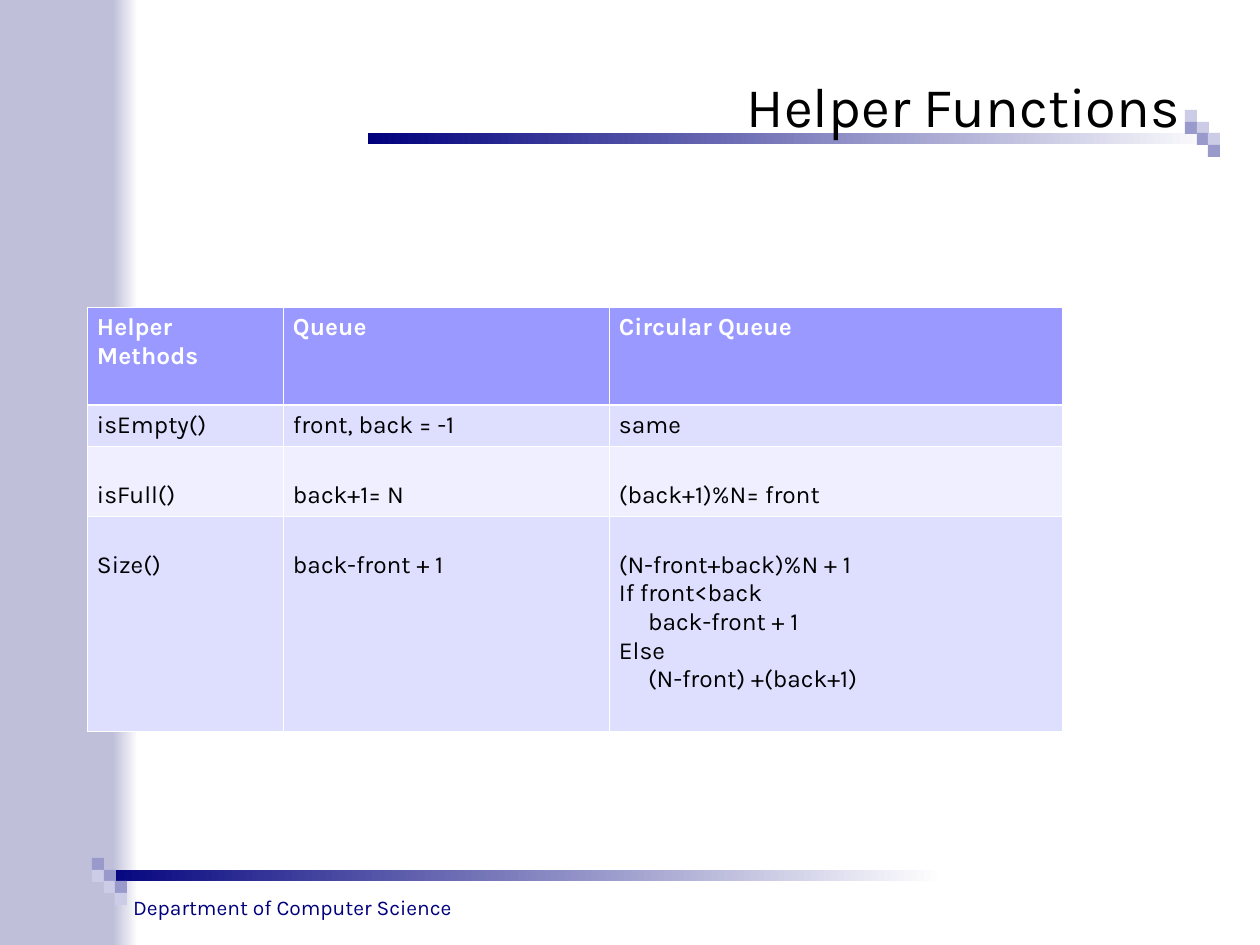
from pptx import Presentation
from pptx.dml.color import RGBColor
from pptx.enum.shapes import MSO_SHAPE
from pptx.enum.text import MSO_ANCHOR, MSO_AUTO_SIZE, PP_ALIGN
from pptx.oxml import parse_xml
from pptx.oxml.ns import nsdecls
from pptx.util import Emu, Pt

FONT = "Karla"
NAVY, LILAC, MIST, PANEL = "00007D", "9999CC", "CCCCE6", "BFBFDA"
BLACK, WHITE = "000000", "FFFFFF"
STEPS = (0, 12, 23, 35)
TOP_INSET, BLANK_LINE = 6, 29

COLUMN_WIDTHS = (196, 326, 453)
ROW_HEIGHTS = (98, 41, 70, 215)
ROW_FILLS = ("9999FF", "DEDEFF", "EFEFFF", "DEDEFF")
METHODS = (
    ("Helper Methods", "Queue", "Circular Queue"),
    ("isEmpty()", "front, back = -1", "same"),
    ("isFull()", "back+1= N", "(back+1)%N= front"),
    ("Size()", "back-front + 1",
     "(N-front+back)%N + 1\nIf front<back\n     back-front + 1\nElse\n     (N-front) +(back+1)"),
)


def px(length):
    return Emu(round(length * 914400 / 126))


def rgb(value):
    return RGBColor.from_string(value)


class Deck:
    def __init__(self, width, height):
        self.presentation = Presentation()
        self.presentation.slide_width = px(width)
        self.presentation.slide_height = px(height)
        self.slide = self.presentation.slides.add_slide(self.presentation.slide_layouts[5])

    def add_text(self, paragraph, text, size, color, bold=False, align=PP_ALIGN.LEFT):
        paragraph.alignment = align
        run = paragraph.add_run()
        run.text = text
        run.font.name = FONT
        run.font.size = Pt(size)
        run.font.bold = bold
        run.font.color.rgb = rgb(color)

    def block(self, left, top, width, height, color, fade_to=None):
        block = self.slide.shapes.add_shape(
            MSO_SHAPE.RECTANGLE, px(left), px(top), px(width), px(height))
        block.shadow.inherit = False
        block.line.fill.background()
        if fade_to:
            block.fill.gradient()
            block.fill.gradient_angle = 0
            for stop, shade in zip(block.fill.gradient_stops, (color, fade_to)):
                stop.color.rgb = rgb(shade)
        else:
            block.fill.solid()
            block.fill.fore_color.rgb = rgb(color)

    def staircase(self, left, top, upper, lower):
        for index, offset in enumerate(STEPS[:3]):
            self.block(left + offset, top + offset, 12, 12, upper)
            self.block(left + offset, top + STEPS[index + 1], 12, 12, lower)

    def title(self, left, top, width, height, text):
        title = self.slide.shapes.title
        title.element.getparent().append(title.element)
        title.left, title.top, title.width, title.height = map(px, (left, top, width, height))
        frame = title.text_frame
        frame.auto_size = MSO_AUTO_SIZE.NONE
        frame.vertical_anchor = MSO_ANCHOR.BOTTOM
        self.add_text(frame.paragraphs[0], text, 32, BLACK, align=PP_ALIGN.RIGHT)

    def footer(self, left, top, width, height, text):
        footer = self.slide.shapes.add_textbox(px(left), px(top), px(width), px(height))
        footer.text_frame.word_wrap = False
        self.add_text(footer.text_frame.paragraphs[0], text, 12, NAVY, align=PP_ALIGN.CENTER)

    def borders(self, cell, top, bottom):
        properties = cell._tc.get_or_add_tcPr()
        for side, width in (("L", 0.45), ("R", 0.45), ("T", top), ("B", bottom)):
            properties.append(parse_xml(
                f'<a:ln{side} {nsdecls("a")} w="{int(Pt(width))}"><a:solidFill>'
                f'<a:srgbClr val="{WHITE}"/></a:solidFill></a:ln{side}>'))

    def cell(self, cell, text, row):
        header = row == 0
        self.borders(cell, 1.47 if row == 1 else 0.45, 1.47 if header else 0.45)
        cell.fill.solid()
        cell.fill.fore_color.rgb = rgb(ROW_FILLS[row])
        cell.margin_left = cell.margin_right = px(10)
        cell.margin_top = px(TOP_INSET + (BLANK_LINE if row > 1 else 0))
        cell.margin_bottom = px(TOP_INSET)
        for index, line in enumerate(text.split("\n")):
            frame = cell.text_frame
            paragraph = frame.add_paragraph() if index else frame.paragraphs[0]
            self.add_text(paragraph, line, 14, WHITE if header else BLACK, header)

    def table(self, left, top, rows):
        table = self.slide.shapes.add_table(
            len(rows), len(COLUMN_WIDTHS), px(left), px(top),
            px(sum(COLUMN_WIDTHS)), px(sum(ROW_HEIGHTS))).table
        for column, width in zip(table.columns, COLUMN_WIDTHS):
            column.width = px(width)
        for row, texts in enumerate(rows):
            table.rows[row].height = px(ROW_HEIGHTS[row])
            for column, text in enumerate(texts):
                self.cell(table.cell(row, column), text, row)


def main():
    deck = Deck(1260, 945)
    deck.block(113, 0, 25, 945, PANEL, WHITE)
    deck.block(0, 0, 113, 945, PANEL)
    deck.block(92, 870, 852, 11, NAVY, WHITE)
    deck.staircase(92, 858, LILAC, MIST)
    deck.block(368, 133, 852, 11, NAVY, WHITE)
    deck.staircase(1185, 110, MIST, LILAC)
    deck.footer(115, 888, 355, 38, "Department of Computer Science")
    deck.title(277, 16, 916, 129, "Helper Functions")
    deck.table(87, 307, METHODS)
    deck.presentation.save("out.pptx")


if __name__ == "__main__":
    main()
